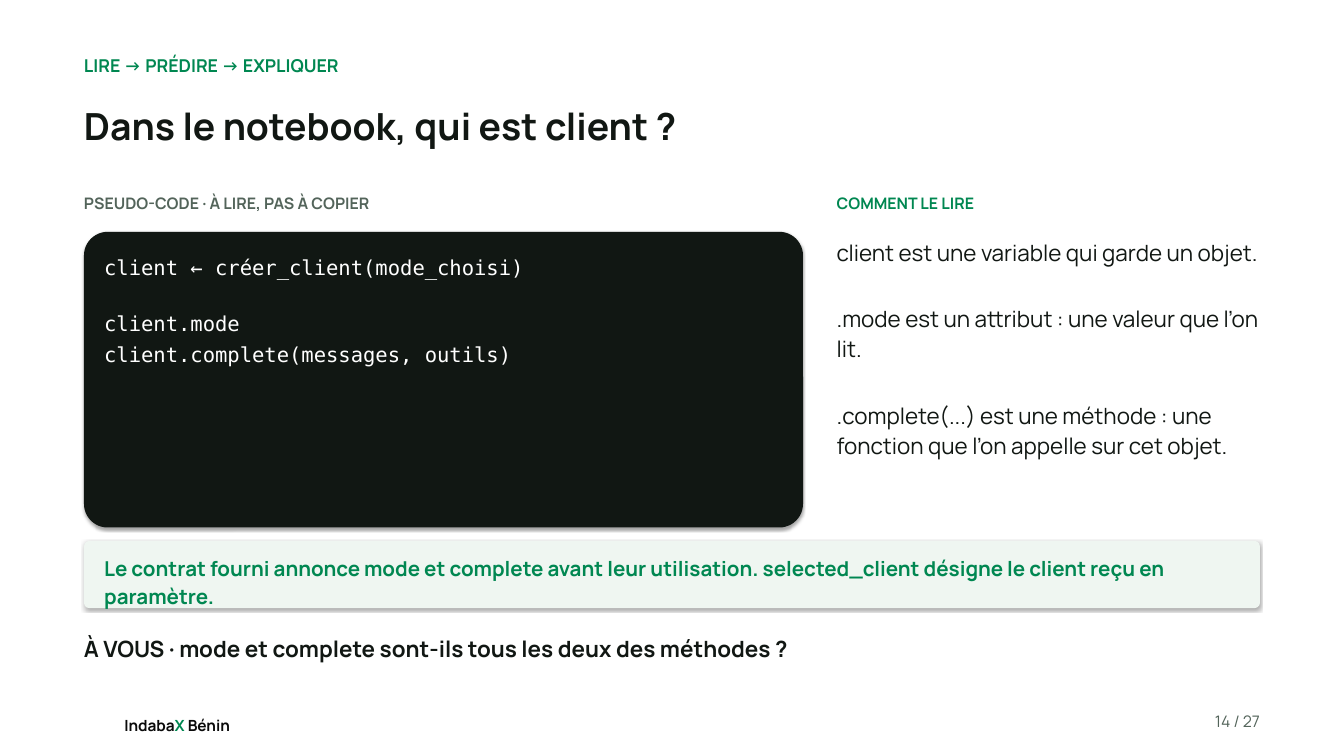
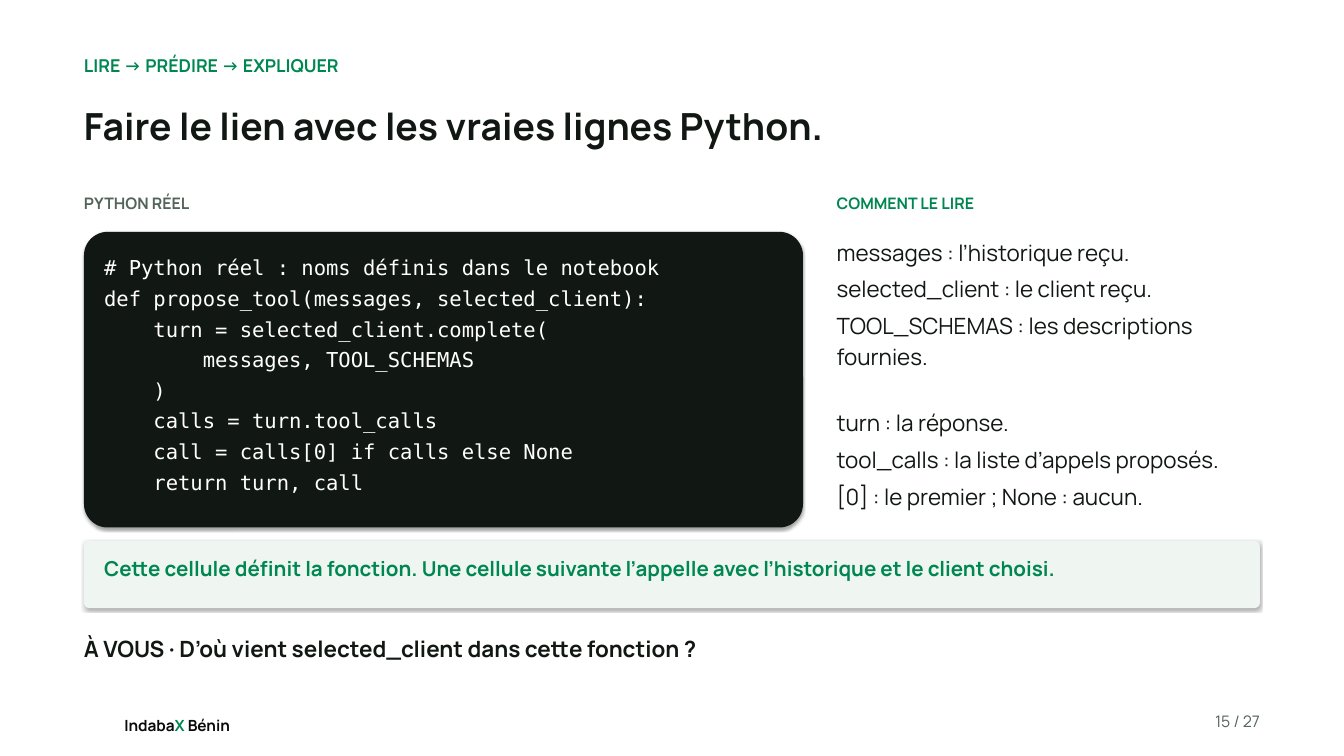
"""Build two slides on reading Python code, with a shared layout."""
from lxml.etree import SubElement
from pptx import Presentation
from pptx.dml.color import RGBColor
from pptx.enum.shapes import MSO_SHAPE
from pptx.enum.text import MSO_AUTO_SIZE, PP_ALIGN
from pptx.oxml.ns import qn
from pptx.util import Inches, Pt

WHITE = RGBColor(0xFF, 0xFF, 0xFF)
BLACK = RGBColor(0x0A, 0x0A, 0x0A)
INK = RGBColor(0x11, 0x17, 0x13)
GREEN = RGBColor(0x00, 0x87, 0x51)
GREY = RGBColor(0x53, 0x64, 0x5A)
MINT = RGBColor(0xEF, 0xF6, 0xF1)

SANS, MONO = "Manrope", "DejaVu Sans Mono"
COLUMNS, ROWS = 80, 45
LEFT, WIDTH = 5, 70
PADDING = 1.2
CODE_WIDTH = 42.8
NOTES_LEFT, NOTES_WIDTH = 49.8, 25.2
LABEL_ROW, CODE_ROW, CODE_HEIGHT = 11.4, 13.8, 17.6
TAKEAWAY_ROW = 32.2
TOTAL = 27

LESSONS = [
    {
        "number": 14,
        "title": "Dans le notebook, qui est client ?",
        "label": "PSEUDO-CODE · À LIRE, PAS À COPIER",
        "code": [
            ["client ← créer_client(mode_choisi)"],
            ["client.mode", "client.complete(messages, outils)"],
        ],
        "notes": [
            ["client est une variable qui garde un objet."],
            [".mode est un attribut : une valeur que l’on lit."],
            [".complete(...) est une méthode : une fonction que l’on appelle sur cet objet."],
        ],
        "takeaway": "Le contrat fourni annonce mode et complete avant leur utilisation. "
                    "selected_client désigne le client reçu en paramètre.",
        "question": "À VOUS · mode et complete sont-ils tous les deux des méthodes ?",
    },
    {
        "number": 15,
        "title": "Faire le lien avec les vraies lignes Python.",
        "label": "PYTHON RÉEL",
        "code": [[
            "# Python réel : noms définis dans le notebook",
            "def propose_tool(messages, selected_client):",
            "    turn = selected_client.complete(",
            "        messages, TOOL_SCHEMAS",
            "    )",
            "    calls = turn.tool_calls",
            "    call = calls[0] if calls else None",
            "    return turn, call",
        ]],
        "notes": [
            [
                "messages : l’historique reçu.",
                "selected_client : le client reçu.",
                "TOOL_SCHEMAS : les descriptions fournies.",
            ],
            [
                "turn : la réponse.",
                "tool_calls : la liste d’appels proposés.",
                "[0] : le premier ; None : aucun.",
            ],
        ],
        "takeaway": "Cette cellule définit la fonction. Une cellule suivante l’appelle "
                    "avec l’historique et le client choisi.",
        "question": "À VOUS · D’où vient selected_client dans cette fonction ?",
    },
]


class LessonDeck:
    """Hold the deck style and draw on the current slide."""

    def __init__(self):
        self.deck = Presentation()
        self.deck.slide_width = Inches(20)
        self.deck.slide_height = Inches(11.25)
        self.page = None

    def new_page(self):
        """Start a blank white slide."""
        self.page = self.deck.slides.add_slide(self.deck.slide_layouts[6])
        fill = self.page.background.fill
        fill.solid()
        fill.fore_color.rgb = WHITE

    def place(self, column, row, columns, rows):
        """Turn grid units into a position and a size."""
        cell_width = self.deck.slide_width / COLUMNS
        cell_height = self.deck.slide_height / ROWS
        return (round(column * cell_width), round(row * cell_height),
                round(columns * cell_width), round(rows * cell_height))

    def frame(self, area):
        """Add an empty text box without margins."""
        frame = self.page.shapes.add_textbox(*self.place(*area)).text_frame
        frame.margin_left = frame.margin_right = 0
        frame.margin_top = frame.margin_bottom = 0
        frame.word_wrap = True
        frame.auto_size = MSO_AUTO_SIZE.SHAPE_TO_FIT_TEXT
        return frame

    def span(self, para, text, size, color, bold=False, font=SANS):
        """Add one run to a paragraph."""
        span = para.add_run()
        span.text = text
        span.font.name = font
        span.font.size = Pt(size)
        span.font.bold = bold
        span.font.color.rgb = color

    def text(self, area, groups, size, color, bold=False, font=SANS,
             after=7, gap=0, align=PP_ALIGN.LEFT):
        """Write groups of paragraphs, with a gap between groups."""
        frame = self.frame(area)
        para = frame.paragraphs[0]
        for group_index, group in enumerate(groups):
            for line_index, line in enumerate(group):
                if group_index or line_index:
                    para = frame.add_paragraph()
                if group_index and not line_index:
                    para.space_before = Pt(gap)
                para.alignment = align
                para.line_spacing = 1.13
                para.space_after = Pt(after)
                self.span(para, line, size, color, bold, font)

    def line(self, area, text, size, color, bold=True, align=PP_ALIGN.LEFT):
        """Write a single paragraph."""
        self.text(area, [[text]], size, color, bold, align=align)

    def card(self, area, color):
        """Draw a rounded panel with a soft shadow."""
        card = self.page.shapes.add_shape(MSO_SHAPE.ROUNDED_RECTANGLE, *self.place(*area))
        card.adjustments[0] = 0.08
        card.fill.solid()
        card.fill.fore_color.rgb = color
        card.line.fill.background()
        card.shadow.inherit = False
        effects = card._element.spPr.find(qn("a:effectLst"))
        shadow = SubElement(effects, qn("a:outerShdw"), blurRad=str(Pt(3.1)),
                            dist=str(Pt(1.8)), dir="5400000", rotWithShape="0")
        tint = SubElement(shadow, qn("a:srgbClr"), val="000000")
        SubElement(tint, qn("a:alpha"), val="35000")

    def footer(self, number):
        """Write the event name and the page number."""
        para = self.frame((7.4, 42.44, 6.92, 1.12)).paragraphs[0]
        para.line_spacing = Pt(23.1)
        for text, color in (("Indaba", BLACK), ("X", GREEN), (" Bénin", BLACK)):
            self.span(para, text, 16.5, color, bold=True)
        self.line((69.4, 42.2, 5.6, 1.6), f"{number} / {TOTAL}", 17, GREY,
                  bold=False, align=PP_ALIGN.RIGHT)

    def heading(self, title):
        """Write the section line and the slide title."""
        self.line((LEFT, 3.12, WIDTH, 1.6), "LIRE → PRÉDIRE → EXPLIQUER", 19, GREEN)
        self.line((LEFT, 5.8, WIDTH, 5.4), title, 40, INK)

    def code(self, label, groups):
        """Draw the labelled code panel."""
        self.line((LEFT, LABEL_ROW, 43.2, 1.8), label, 17, GREY)
        self.card((LEFT, CODE_ROW, CODE_WIDTH, CODE_HEIGHT), INK)
        self.text((LEFT + PADDING, CODE_ROW + PADDING, CODE_WIDTH - 2 * PADDING, 15.8),
                  groups, 22, WHITE, font=MONO, after=3, gap=27)

    def notes(self, groups):
        """Write the reading guide beside the code."""
        self.line((NOTES_LEFT, LABEL_ROW, NOTES_WIDTH, 1.8), "COMMENT LE LIRE", 17, GREEN)
        self.text((NOTES_LEFT, 14, NOTES_WIDTH, 18), groups, 24, INK, gap=31.5)

    def takeaway(self, text):
        """Draw the band with the key message."""
        self.card((LEFT, TAKEAWAY_ROW, WIDTH, 4), MINT)
        self.line((LEFT + PADDING, TAKEAWAY_ROW + 0.72, WIDTH - 2 * PADDING, 3.12),
                  text, 22, GREEN)

    def lesson(self, lesson):
        """Build one complete lesson slide."""
        self.new_page()
        self.footer(lesson["number"])
        self.heading(lesson["title"])
        self.code(lesson["label"], lesson["code"])
        self.notes(lesson["notes"])
        self.takeaway(lesson["takeaway"])
        self.line((LEFT, 37.6, WIDTH, 3.2), lesson["question"], 24, INK)


def main():
    """Build every lesson and save the deck."""
    builder = LessonDeck()
    for lesson in LESSONS:
        builder.lesson(lesson)
    builder.deck.save("out.pptx")


if __name__ == "__main__":
    main()
